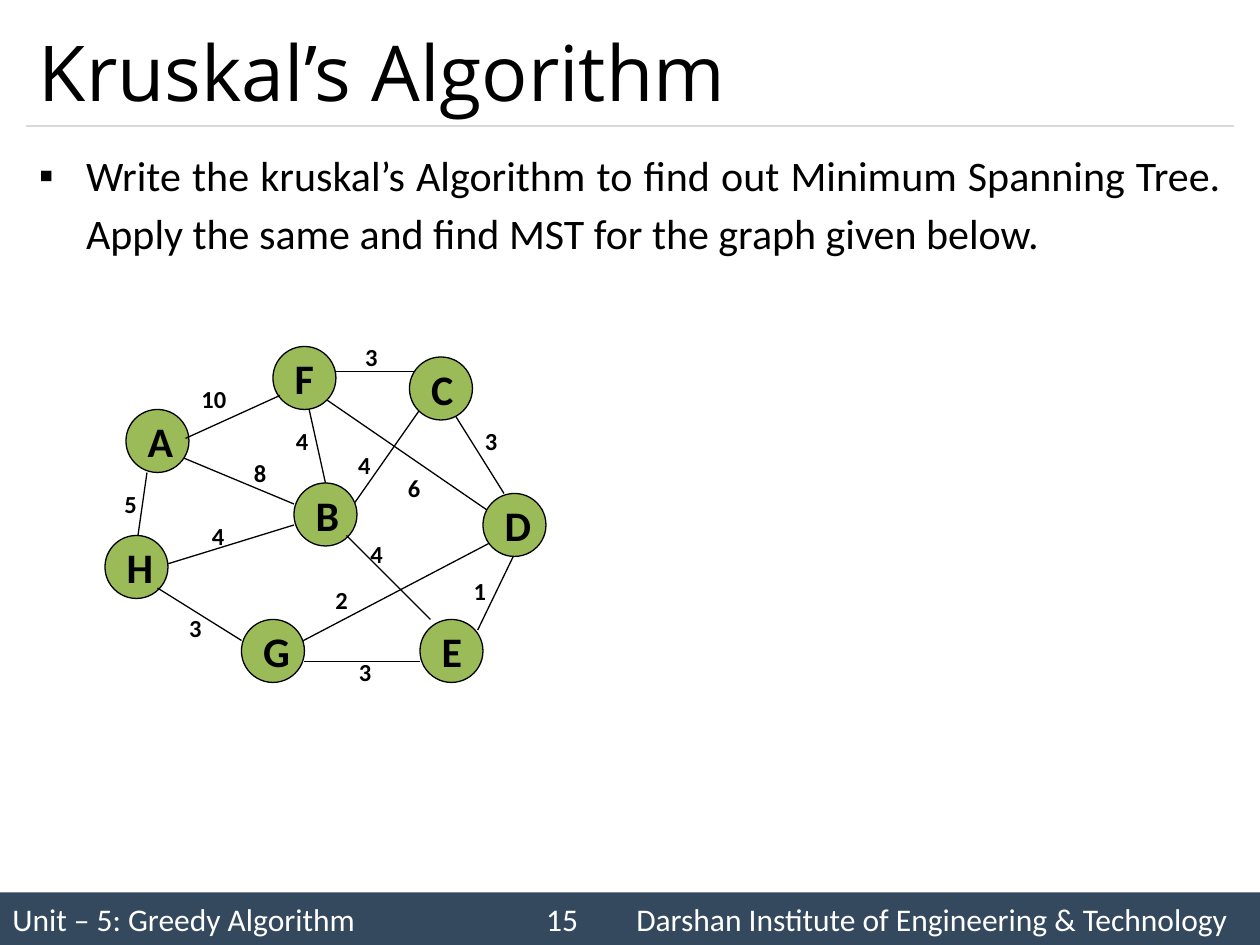
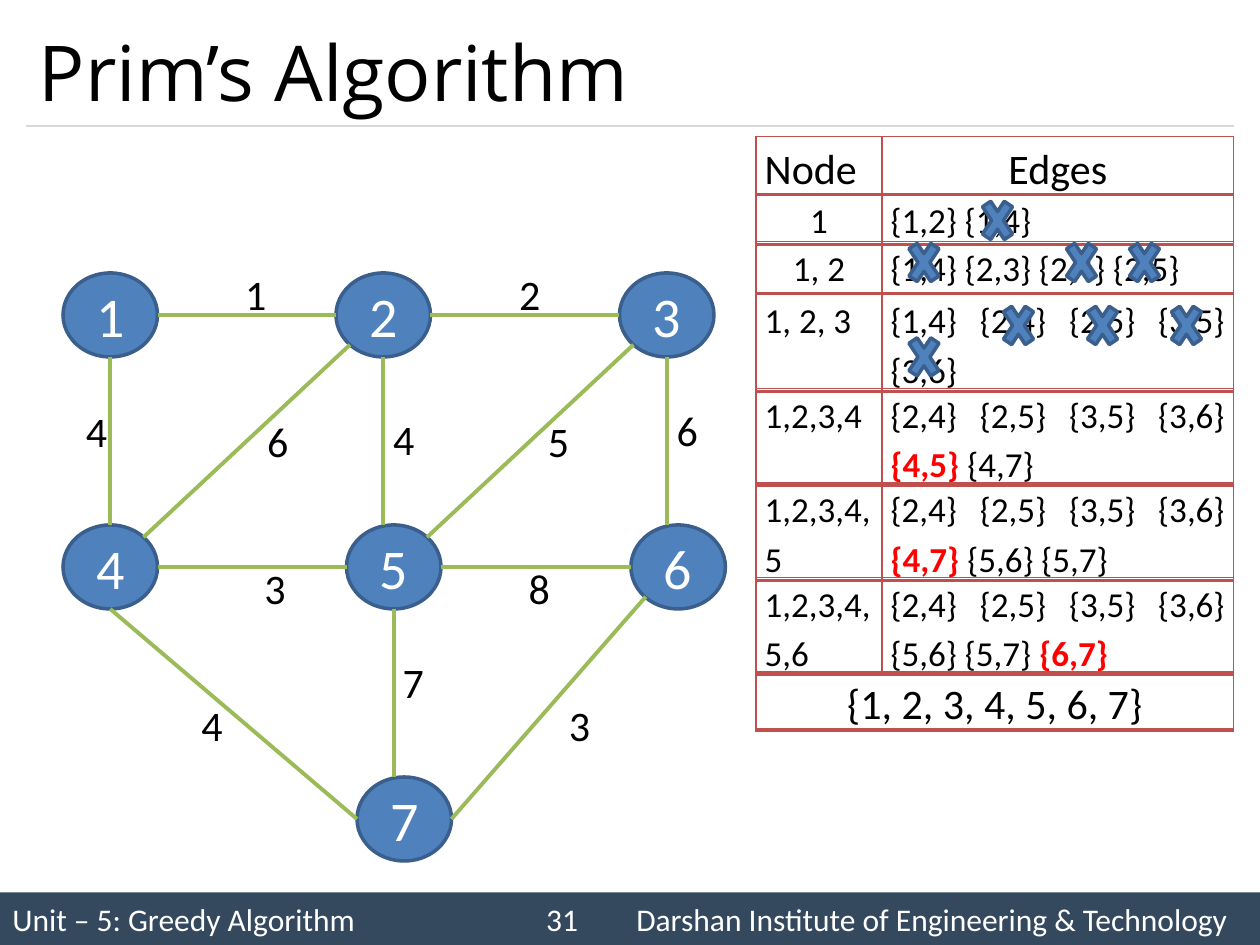
from lxml.etree import SubElement
from pptx import Presentation
from pptx.dml.color import RGBColor
from pptx.enum.shapes import MSO_CONNECTOR as Connector, MSO_SHAPE as Preset
from pptx.enum.text import MSO_ANCHOR as Anchor, MSO_AUTO_SIZE as AutoSize, PP_ALIGN as Align
from pptx.oxml import parse_xml
from pptx.oxml.ns import nsdecls, qn
from pptx.util import Pt

BLACK = RGBColor(0x00, 0x00, 0x00)
WHITE = RGBColor(0xFF, 0xFF, 0xFF)
NAVY = RGBColor(0x34, 0x49, 0x5E)
RULE_GRAY = RGBColor(0xD9, 0xD9, 0xD9)
GREEN = RGBColor(0x9B, 0xBB, 0x59)
BLUE = RGBColor(0x4F, 0x81, 0xBD)
DARK_BLUE = RGBColor(0x3A, 0x5F, 0x8C)
TABLE_RED = RGBColor(0xC0, 0x50, 0x4D)
RED = RGBColor(0xFF, 0x00, 0x00)

BODY_FONT, TITLE_FONT = "Calibri", "Open Sans"
SLIDE_WIDTH, SLIDE_HEIGHT = 720, 540
MARGIN, CONTENT_WIDTH = 15, 690

# Graph parts are relative to the graph's box.
# Nodes: name -> left, top. Edges: x1, y1, x2, y2, weight, label left, label top.
KRUSKAL = {
    "box": (60, 192),
    "node_size": (36, 36),
    "node_line": (BLACK, 0.75),
    "node_fill": GREEN,
    "node_text": dict(size=24, bold=True, align=Align.LEFT),
    "node_wrap": False,
    "edge_line": (BLACK, 0.75),
    "label_size": (37.5, 24),
    "label_text": dict(size=14, bold=True),
    "nodes": {"A": (12, 42), "H": (0, 114), "B": (108, 84), "F": (96, 6),
              "E": (180, 162), "D": (216, 90), "C": (174, 12), "G": (78, 162)},
    "back_edges": [
        (242, 108, 213, 168, "1", 203.5, 133.5),
        (114, 30, 126, 84, "4", 102, 48),
        (138, 102, 180, 42, "4", 137.5, 61.5),
        (222, 102, 126, 36, "6", 166, 75),
        (30, 132, 108, 108, "4", 54, 102),
        (102, 180, 228, 114, "2", 124.5, 139),
        (18, 120, 24, 78, "5", 4, 84),
        (36, 66, 108, 96, "8", 78, 66),
        (129, 20.5, 178, 20.5, "3", 141.5, 0),
        (198, 42, 228, 90, "3", 210, 48),
    ],
    "front_edges": [
        (138, 114, 186, 162, "4", 144.5, 112.5),
        (180, 186, 114, 186, "3", 138, 180),
        (78, 174, 30, 144, "3", 41, 155),
        (46, 58.5, 100, 34, "10", 48, 24),
    ],
}

PRIM = {
    "box": (36, 150),
    "node_size": (54, 48),
    "node_line": (DARK_BLUE, 2),
    "node_fill": BLUE,
    "node_text": dict(size=32, color=WHITE, align=Align.CENTER),
    "node_wrap": True,
    "edge_line": (GREEN, 2.25),
    "label_size": (29, 36),
    "label_text": dict(size=24),
    "nodes": {"1": (0, 6), "2": (156, 6), "3": (318, 6), "4": (0, 150),
              "5": (162, 150), "6": (324.5, 150), "7": (168, 294)},
    "back_edges": [],
    "front_edges": [
        (54, 30, 156, 30, "1", 97, 0),
        (210, 30, 318, 30, "2", 253.5, 0),
        (54, 174, 162, 174, "3", 108, 168),
        (216, 174, 324.5, 174, "8", 259, 168),
        (27, 54, 27, 150, "4", 6, 78),
        (183, 54, 183, 150, "4", 181.5, 83),
        (345, 54, 345, 150, "6", 343.5, 77.5),
        (46, 157, 164, 47, "6", 109.5, 84),
        (208, 157, 326, 47, "5", 270, 84),
        (333, 191, 222, 318, "3", 282, 246),
        (27, 198, 168, 318, "4", 72, 246),
        (189, 198, 189, 294, "7", 187, 221.5),
    ],
}

# Trace rows: top, height, text size, cells as (text, alignment); *marks* turn red.
LEFT, CENTER, JUSTIFY = Align.LEFT, Align.CENTER, Align.JUSTIFY
TRACE_BOX = (432, 78)
TRACE_COLUMNS = (72, 201)
TRACE_ROWS = [
    (0, 33, 24, [("Node", JUSTIFY), ("Edges", CENTER)]),
    (32.5, 29.5, 20, [("1", CENTER), ("{1,2} {1,4}", JUSTIFY)]),
    (60, 29.5, 20, [("1, 2", CENTER), ("{1,4} {2,3} {2,4} {2,5}", JUSTIFY)]),
    (90, 55.5, 20, [("1, 2, 3", JUSTIFY), ("{1,4} {2,4} {2,5} {3,5} {3,6}", JUSTIFY)]),
    (144, 55.5, 20, [("1,2,3,4", JUSTIFY),
                     ("{2,4} {2,5} {3,5} {3,6} *{4,5}* {4,7}", JUSTIFY)]),
    (198, 55.5, 20, [("1,2,3,4,5", JUSTIFY),
                     ("{2,4} {2,5} {3,5} {3,6} *{4,7}* {5,6} {5,7}", JUSTIFY)]),
    (252, 55.5, 20, [("1,2,3,4,5,6", JUSTIFY),
                     ("{2,4} {2,5} {3,5} {3,6} {5,6} {5,7} *{6,7}*", JUSTIFY)]),
    (306, 33, 24, [("{1, 2, 3, 4, 5, 6, 7}", CENTER)]),
]
CROSSES = [(126, 30), (84, 54), (174, 54), (210, 54),
           (138, 90), (186, 90), (234, 90), (84, 108)]


def write(para, text, size=24, color=BLACK, font=BODY_FONT, bold=False,
          align=LEFT, spacing=None):
    """Fill a paragraph; parts between asterisks become bold red."""
    para.alignment = align
    if spacing:
        para.line_spacing = spacing
    for number, part in enumerate(text.split("*")):
        if part:
            marked = number % 2 == 1
            span = para.add_run()
            span.text = part
            span.font.name, span.font.size = font, Pt(size)
            span.font.bold = bold or marked
            span.font.color.rgb = RED if marked else color


def place(shape, left, top, width, height):
    shape.left, shape.top = Pt(left), Pt(top)
    shape.width, shape.height = Pt(width), Pt(height)


def add_line(page, x1, y1, x2, y2, color, width):
    line = page.shapes.add_connector(Connector.STRAIGHT, Pt(x1), Pt(y1), Pt(x2), Pt(y2))
    line.line.color.rgb, line.line.width = color, Pt(width)
    SubElement(line._element.spPr, qn("a:effectLst"))


def add_preset(page, preset, left, top, width, height, fill, outline=None):
    shape = page.shapes.add_shape(preset, Pt(left), Pt(top), Pt(width), Pt(height))
    shape.shadow.inherit = False
    shape.fill.solid()
    shape.fill.fore_color.rgb = fill
    if outline:
        shape.line.color.rgb, shape.line.width = outline[0], Pt(outline[1])
    else:
        shape.line.fill.background()
    return shape


def add_footer(page, number):
    band = add_preset(page, Preset.RECTANGLE, 0, 510, SLIDE_WIDTH, 30, NAVY)
    band.text_frame.vertical_anchor = Anchor.MIDDLE
    para = band.text_frame.paragraphs[0]
    tabs = SubElement(para._p.get_or_add_pPr(), qn("a:tabLst"))
    for stop in (305, 356.5):
        SubElement(tabs, qn("a:tab"), pos=str(Pt(stop)), algn="l")
    write(para, f"Unit – 5: Greedy Algorithm\t{number}\t"
          "Darshan Institute of Engineering & Technology", size=18, color=WHITE)


def add_page(deck, layout, title, number):
    """Start a slide with the shared footer, rule and title."""
    page = deck.slides.add_slide(deck.slide_layouts[layout])
    add_footer(page, number)
    add_line(page, MARGIN, 72, MARGIN + CONTENT_WIDTH, 72, RULE_GRAY, 0.75)
    place(page.shapes.title, MARGIN, 9, CONTENT_WIDTH, 63)
    frame = page.shapes.title.text_frame
    frame.auto_size, frame.vertical_anchor = AutoSize.NONE, Anchor.MIDDLE
    write(frame.paragraphs[0], title, size=44, font=TITLE_FONT)
    return page


def add_bullet(page, text):
    body = page.placeholders[1]
    place(body, MARGIN, 78, CONTENT_WIDTH, 420)
    body.text_frame.auto_size = AutoSize.NONE
    para = body.text_frame.paragraphs[0]
    props = para._p.get_or_add_pPr()
    props.set("marL", str(Pt(27)))
    props.set("indent", str(Pt(-27)))
    SubElement(props, qn("a:buChar"), char="▪")
    para.space_before = Pt(0)
    write(para, text, align=JUSTIFY, spacing=1.14)


def add_graph(page, graph):
    left, top = graph["box"]

    def add_edges(edges):
        for x1, y1, x2, y2, *_ in edges:
            add_line(page, left + x1, top + y1, left + x2, top + y2, *graph["edge_line"])

    add_edges(graph["back_edges"])
    for name, (x, y) in graph["nodes"].items():
        node = add_preset(page, Preset.OVAL, left + x, top + y, *graph["node_size"],
                          graph["node_fill"], graph["node_line"])
        node.text_frame.word_wrap = graph["node_wrap"]
        node.text_frame.vertical_anchor = Anchor.MIDDLE
        write(node.text_frame.paragraphs[0], name, **graph["node_text"])
    add_edges(graph["front_edges"])

    # Edge weights
    width, height = graph["label_size"]
    for *_, weight, x, y in graph["back_edges"] + graph["front_edges"]:
        label = page.shapes.add_textbox(Pt(left + x), Pt(top + y), Pt(width), Pt(height))
        label.text_frame.word_wrap = True
        write(label.text_frame.paragraphs[0], weight, **graph["label_text"])


def format_cell(cell):
    cell.margin_left = cell.margin_right = Pt(5)
    cell.margin_top = cell.margin_bottom = 0
    cell.fill.background()
    props = cell._tc.get_or_add_tcPr()
    for index, (side, width) in enumerate(dict(L=1, R=1, T=1, B=2).items()):
        props.insert(index, parse_xml(
            f'<a:ln{side} {nsdecls("a")} w="{Pt(width)}"><a:solidFill>'
            f'<a:srgbClr val="{TABLE_RED}"/></a:solidFill></a:ln{side}>'))


def add_trace(page, box):
    """Step-by-step table strips with crosses over the used edges."""
    left, top = box
    for y, height, size, cells in TRACE_ROWS:
        widths = TRACE_COLUMNS if len(cells) == 2 else [sum(TRACE_COLUMNS)]
        table = page.shapes.add_table(1, len(cells), Pt(left), Pt(top + y),
                                      Pt(sum(widths)), Pt(height)).table
        table.first_row = table.horz_banding = False
        for column, (width, (text, align)) in enumerate(zip(widths, cells)):
            table.columns[column].width = Pt(width)
            cell = table.cell(0, column)
            format_cell(cell)
            write(cell.text_frame.paragraphs[0], text, size=size, align=align, spacing=1.15)
    for x, y in CROSSES:
        add_preset(page, Preset.MATH_MULTIPLY, left + x, top + y, 24, 36,
                   BLUE, (DARK_BLUE, 2))


def main():
    deck = Presentation()
    deck.slide_width, deck.slide_height = Pt(SLIDE_WIDTH), Pt(SLIDE_HEIGHT)

    # Kruskal: exercise text and graph
    page = add_page(deck, 1, "Kruskal’s Algorithm", 15)
    add_bullet(page, "Write the kruskal’s Algorithm to find out Minimum Spanning Tree. "
                     "Apply the same and find MST for the graph given below.")
    add_graph(page, KRUSKAL)

    # Prim: graph and trace table
    page = add_page(deck, 5, "Prim’s Algorithm", 31)
    add_graph(page, PRIM)
    add_trace(page, TRACE_BOX)

    deck.save("out.pptx")


if __name__ == "__main__":
    main()
